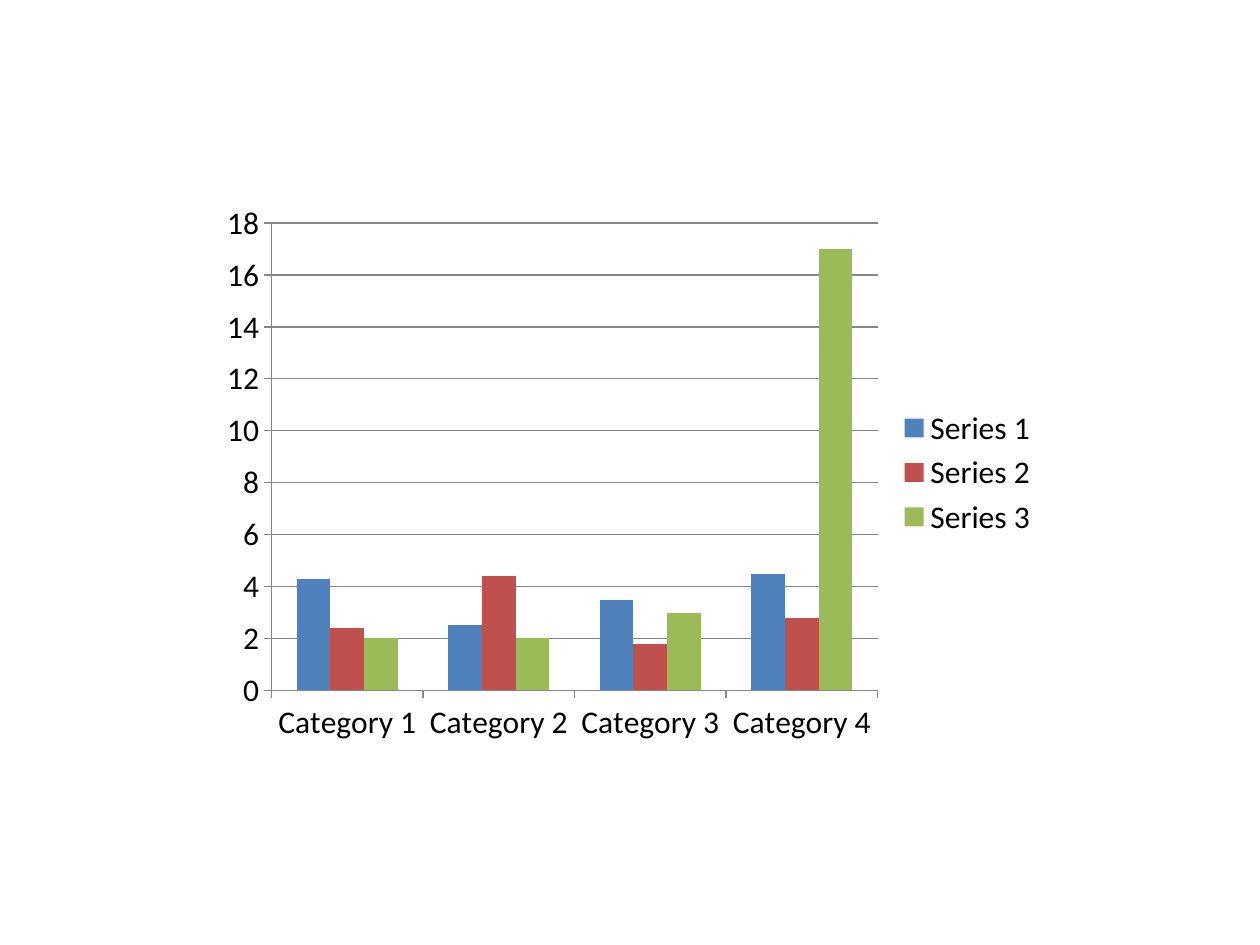
from dataclasses import dataclass, field
from typing import Any

from pptx import Presentation
from pptx import util as u
from pptx.chart import data as chart_data
from pptx.dml import color
from pptx.enum import chart as kinds

COLORS = {
    "text": "000000",
    "axis": "868686",
    "Series 1": "4F81BD",
    "Series 2": "C0504D",
    "Series 3": "9BBB59",
}
CATEGORIES = [f"Category {number}" for number in range(1, 5)]
SERIES = {
    "Series 1": (4.3, 2.5, 3.5, 4.5),
    "Series 2": (2.4, 4.4, 1.8, 2.8),
    "Series 3": (2, 2, 3, 17),
}


def rgb(name):
    return color.RGBColor.from_string(COLORS[name])


def apply(target, formats):
    for name, value in formats.items():
        setattr(target, name, value)


@dataclass
class SlideBuilder:
    slide: Any
    font: dict = field(
        default_factory=lambda: {"name": "Calibri", "size": u.Pt(18)}
    )

    def line(self, line_format):
        line_format.color.rgb = rgb("axis")
        line_format.width = u.Pt(0.75)

    def axis(self, axis, formats):
        apply(axis, {"major_tick_mark": kinds.XL_TICK_MARK.OUTSIDE,
                     "minor_tick_mark": kinds.XL_TICK_MARK.NONE, **formats})
        self.line(axis.format.line)
        if axis.has_major_gridlines:
            self.line(axis.major_gridlines.format.line)

    def column_chart(self, left, top, width, height, categories, series):
        values = chart_data.CategoryChartData()
        values.categories = categories
        for name, numbers in series.items():
            values.add_series(name, numbers)
        chart = self.slide.shapes.add_chart(
            kinds.XL_CHART_TYPE.COLUMN_CLUSTERED,
            *map(u.Inches, (left, top, width, height)), values,
        ).chart
        apply(chart, {"has_title": False, "has_legend": True})
        apply(chart.font, self.font)
        chart.font.color.rgb = rgb("text")
        apply(chart.legend, {"position": kinds.XL_LEGEND_POSITION.RIGHT,
                             "include_in_layout": False})
        self.axis(chart.category_axis, {"has_major_gridlines": False})
        self.axis(chart.value_axis, {
            "has_major_gridlines": True, "minimum_scale": 0,
            "maximum_scale": 18, "major_unit": 2,
        })
        columns = chart.plots[0]
        apply(columns, {"gap_width": 150, "overlap": 0,
                        "vary_by_categories": False})
        for column in columns.series:
            column.format.fill.solid()
            column.format.fill.fore_color.rgb = rgb(column.name)


def main():
    deck = Presentation()
    apply(deck, {"slide_width": u.Inches(10), "slide_height": u.Inches(7.5)})
    builder = SlideBuilder(deck.slides.add_slide(deck.slide_layouts[6]))
    builder.column_chart(1.67, 1.53, 6.67, 4.44, CATEGORIES, SERIES)
    deck.save("out.pptx")


if __name__ == "__main__":
    main()
